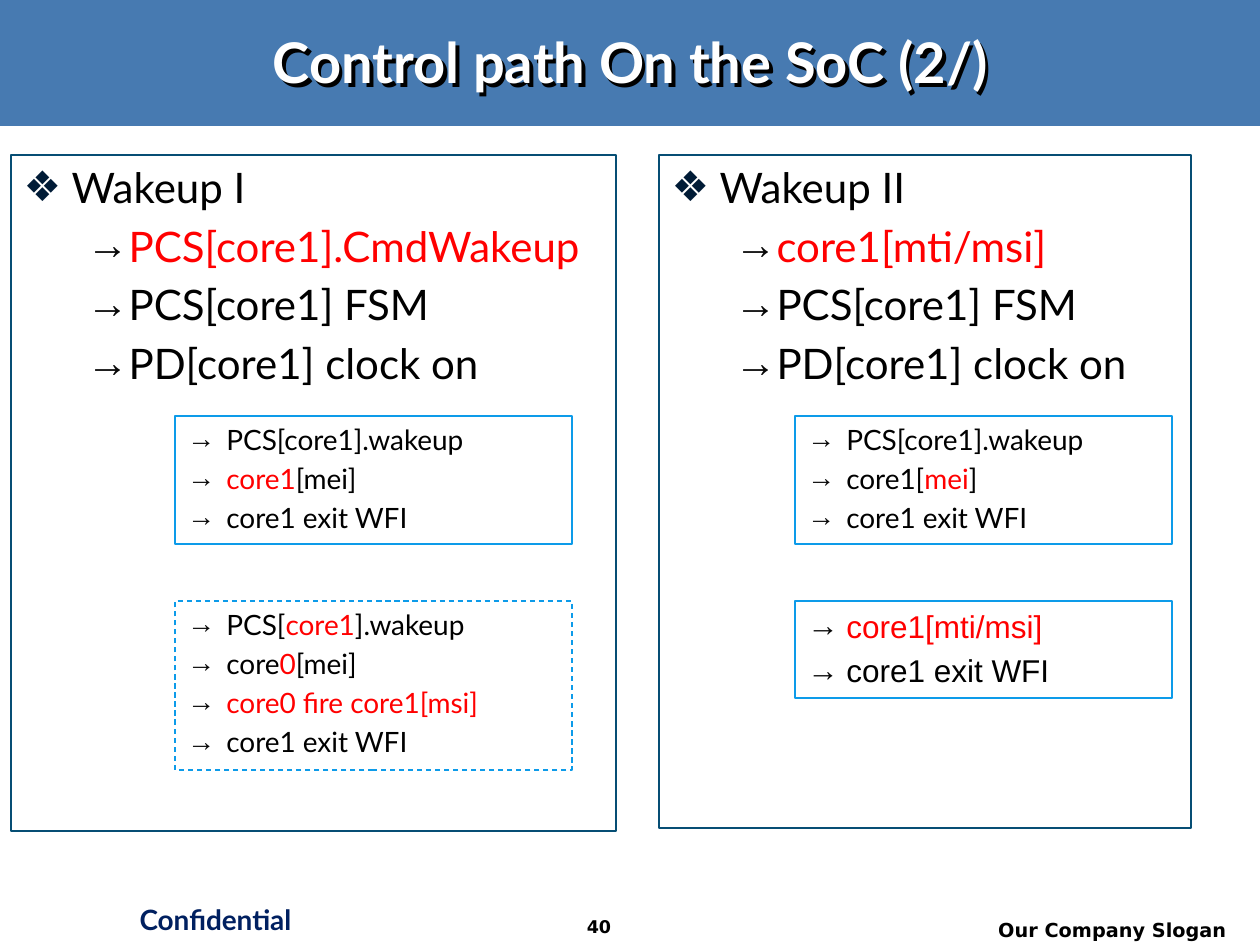
import pptx
import pptx.dml.color
import pptx.enum.dml
import pptx.enum.shapes
import pptx.enum.text
import pptx.oxml
import pptx.oxml.ns
import pptx.util

Pt = pptx.util.Pt
RGBColor = pptx.dml.color.RGBColor
Align = pptx.enum.text.PP_ALIGN
Anchor = pptx.enum.text.MSO_ANCHOR
RECTANGLE = pptx.enum.shapes.MSO_SHAPE.RECTANGLE

PX = 914400 // 126
BAND_BLUE = RGBColor(0x47, 0x7A, 0xB1)
NAVY = RGBColor(0x00, 0x20, 0x60)
PANEL_LINE = RGBColor(0x06, 0x4E, 0x74)
STEP_LINE = RGBColor(0x0D, 0x9B, 0xE9)
WHITE = RGBColor(0xFF, 0xFF, 0xFF)
BLACK = RGBColor(0, 0, 0)
RED = RGBColor(0xFF, 0, 0)

TITLE = "Control path On the SoC (2/)"
# Text between asterisks is red.
PANELS = [
    {"at": (11, 155, 605, 676), "heading": "Wakeup I",
     "items": ["*PCS[core1].CmdWakeup*", "PCS[core1] FSM", "PD[core1] clock on"]},
    {"at": (659, 155, 532, 673), "heading": "Wakeup II",
     "items": ["*core1[mti/msi]*", "PCS[core1] FSM", "PD[core1] clock on"]},
]
STEP_BOXES = [
    {"at": (175, 416, 397, 128), "font": "Lato", "size": 16, "dashed": False,
     "steps": ["PCS[core1].wakeup", "*core1*[mei]", "core1 exit WFI"]},
    {"at": (175, 601, 397, 169), "font": "Lato", "size": 16, "dashed": True,
     "steps": ["PCS[*core1*].wakeup", "core*0*[mei]",
               "*core0 fire core1[msi]*", "core1 exit WFI"]},
    {"at": (795, 416, 377, 128), "font": "Lato", "size": 16, "dashed": False,
     "steps": ["PCS[core1].wakeup", "core1[*mei*]", "core1 exit WFI"]},
    {"at": (795, 601, 377, 97), "font": "Arial", "size": 18, "dashed": False,
     "steps": ["*core1[mti/msi]*", "core1 exit WFI"]},
]
FOOTERS = [
    ("Confidential", (112, 896, 207, 53), Align.CENTER, "Lato", 16, NAVY),
    ("Our Company Slogan", (940, 912, 299, 33), Align.RIGHT, "DejaVu Sans", 11, BLACK),
    ("40", (541, 910, 116, 35), Align.CENTER, "DejaVu Sans", 10, BLACK),
]
# Bullet kinds: character, colour, left margin px, hanging indent px, level
DIAMOND = ("❖", "001B36", 48, 48, 0)
PANEL_ARROW = ("→", "080808", 102, 39, 1)
STEP_ARROW = ("→", "080808", 39, 39, 0)


def emu(box):
    return [length * PX for length in box]


def place(shape, box):
    shape.left, shape.top, shape.width, shape.height = emu(box)


def set_font(font, name, size, color, bold=False):
    font.name, font.size, font.bold = name, Pt(size), bold
    font.color.rgb = color


def add_xml(parent, xml):
    """Append an element whose tag is followed by a space in the xml."""
    parent.append(pptx.oxml.parse_xml(
        xml.replace(" ", f' {pptx.oxml.ns.nsdecls("a")} ', 1)))


def fill_list(frame, entries, font, size):
    """Write (marked text, bullet kind) entries as bulleted paragraphs."""
    frame.word_wrap = True
    frame.vertical_anchor = Anchor.TOP
    for number, (marked, (char, color, margin, hang, level)) in enumerate(entries):
        paragraph = frame.add_paragraph() if number else frame.paragraphs[0]
        properties = paragraph._p.get_or_add_pPr()
        properties.set("marL", str(margin * PX))
        properties.set("indent", str(-hang * PX))
        add_xml(properties, f'<a:buClr ><a:srgbClr val="{color}"/></a:buClr>')
        add_xml(properties, '<a:buFont typeface="Arial"/>')
        add_xml(properties, f'<a:buChar char="{char}"/>')
        paragraph.level = level
        paragraph.alignment = Align.LEFT
        paragraph.space_before = Pt(0.2 * size if number else 0)
        set_font(paragraph.font, font, size, BLACK)
        for index, piece in enumerate(marked.split("*")):
            if piece:
                run = paragraph.add_run()
                run.text = piece
                run.font.color.rgb = RED if index % 2 else BLACK


def add_band(slide):
    band = slide.shapes.add_shape(RECTANGLE, *emu((0, 0, 1260, 126)))
    band.shadow.inherit = False
    band.fill.solid()
    band.fill.fore_color.rgb = BAND_BLUE
    band.line.fill.background()
    slide.shapes._spTree.insert(2, band._element)  # behind the title


def add_title(slide):
    title = slide.shapes.title
    place(title, (44, 20, 1173, 83))
    title.text_frame.text = TITLE
    title.text_frame.vertical_anchor = Anchor.MIDDLE
    title.text_frame.auto_size = pptx.enum.text.MSO_AUTO_SIZE.NONE
    paragraph = title.text_frame.paragraphs[0]
    paragraph.alignment = Align.CENTER
    set_font(paragraph.font, "Lato", 32, WHITE, True)
    # With no fill, the shape's shadow falls from its text.
    title.fill.background()
    add_xml(title._element.spPr,
            '<a:effectLst ><a:outerShdw dist="38100" dir="2700000">'
            '<a:srgbClr val="000000"/></a:outerShdw></a:effectLst>')


def add_panel(body, panel):
    place(body, panel["at"])
    body.line.color.rgb = PANEL_LINE
    body.line.width = Pt(0.75)
    body.text_frame.auto_size = pptx.enum.text.MSO_AUTO_SIZE.NONE
    entries = [(panel["heading"], DIAMOND)]
    entries += [(item, PANEL_ARROW) for item in panel["items"]]
    fill_list(body.text_frame, entries, "Lato", 24)


def add_step_box(slide, content):
    box = slide.shapes.add_shape(RECTANGLE, *emu(content["at"]))
    box.shadow.inherit = False
    box.fill.background()
    box.line.color.rgb = STEP_LINE
    box.line.width = Pt(0.75)
    if content["dashed"]:
        box.line.dash_style = pptx.enum.dml.MSO_LINE.DASH
    box.text_frame.auto_size = pptx.enum.text.MSO_AUTO_SIZE.SHAPE_TO_FIT_TEXT
    fill_list(box.text_frame, [(step, STEP_ARROW) for step in content["steps"]],
              content["font"], content["size"])


def add_footer(slide, text, at, align, font, size, color):
    frame = slide.shapes.add_textbox(*emu(at)).text_frame
    frame.word_wrap = True
    frame.text = text
    frame.paragraphs[0].alignment = align
    set_font(frame.paragraphs[0].font, font, size, color, True)


def main():
    deck = pptx.Presentation()
    deck.slide_width, deck.slide_height = emu((1260, 945))
    slide = deck.slides.add_slide(deck.slide_layouts.get_by_name("Two Content"))
    add_band(slide)
    add_title(slide)
    for index, panel in enumerate(PANELS, start=1):
        add_panel(slide.placeholders[index], panel)
    for content in STEP_BOXES:
        add_step_box(slide, content)
    for footer in FOOTERS:
        add_footer(slide, *footer)
    deck.save("out.pptx")


if __name__ == "__main__":
    main()
